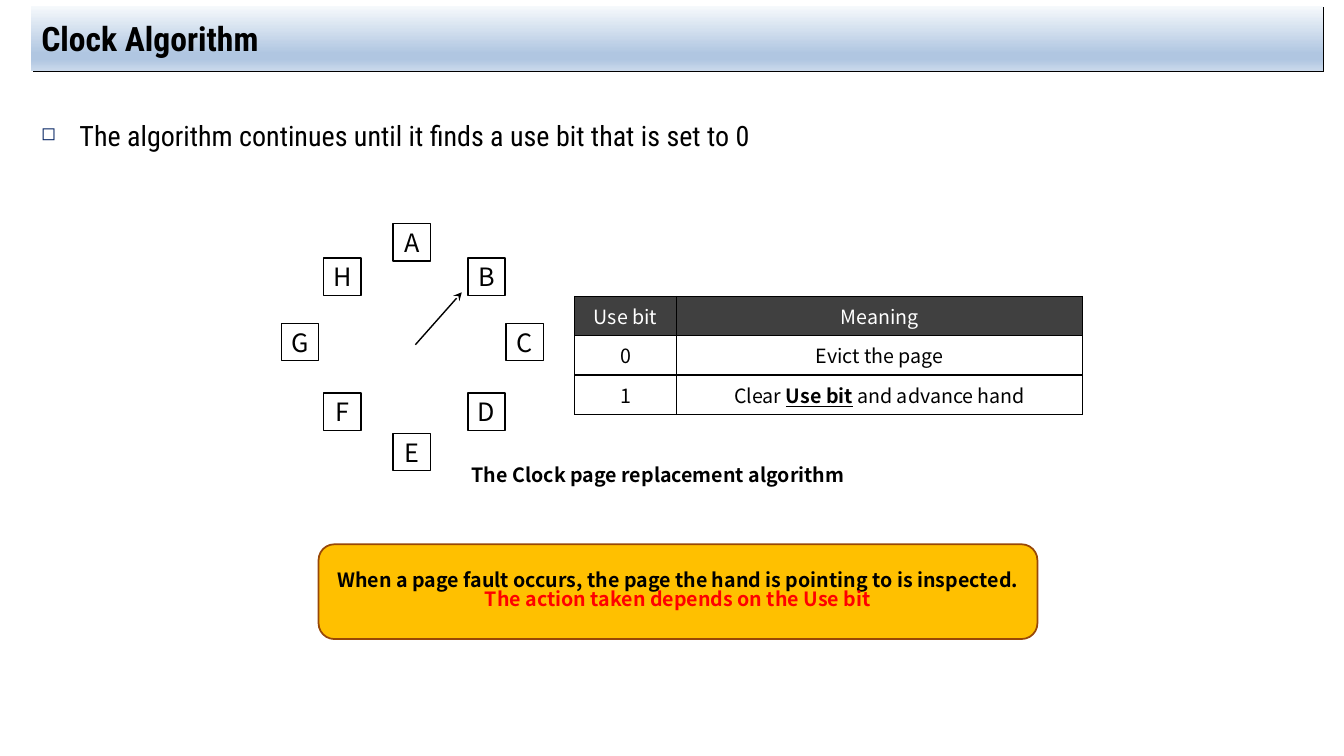
from lxml import etree
from pptx import Presentation
from pptx.dml.color import RGBColor
from pptx.enum.shapes import MSO_CONNECTOR, MSO_SHAPE
from pptx.enum.text import MSO_ANCHOR, PP_ALIGN
from pptx.oxml import parse_xml
from pptx.oxml.ns import nsdecls, qn
from pptx.util import Inches, Pt

BLACK = RGBColor(0x00, 0x00, 0x00)
WHITE = RGBColor(0xFF, 0xFF, 0xFF)
RED = RGBColor(0xFF, 0x00, 0x00)
NAVY = RGBColor(0x00, 0x20, 0x60)
CHARCOAL = RGBColor(0x40, 0x40, 0x40)
AMBER = RGBColor(0xFF, 0xC0, 0x00)
BROWN = RGBColor(0x98, 0x48, 0x07)
BANNER_STOPS = [
    (0, RGBColor(0xF6, 0xF9, 0xFC)),
    (74, RGBColor(0xB0, 0xC6, 0xE1)),
    (83, RGBColor(0xB0, 0xC6, 0xE1)),
    (100, RGBColor(0xCA, 0xD9, 0xEB)),
]
HEADING_FONT = "Roboto Condensed"
BODY_FONT = "Noto Sans CJK KR"

# Page name with its offset from the top left of the clock
CLOCK_PAGES = [
    ("A", 1.11, 0), ("B", 1.85, 0.34), ("C", 2.23, 0.99), ("D", 1.85, 1.68),
    ("E", 1.11, 2.08), ("F", 0.42, 1.68), ("G", 0, 0.99), ("H", 0.42, 0.34),
]
PAGE_SIZE = 0.37
USE_BIT_ROWS = [
    ["Use bit", "Meaning"],
    ["0", "Evict the page"],
    ["1", [("Clear ", {}), ("Use bit", {"bold": True, "underline": True}),
           (" and advance hand", {})]],
]


def write(frame, text, size=14, font=BODY_FONT, color=BLACK, bold=False,
          align=PP_ALIGN.LEFT, anchor=MSO_ANCHOR.TOP, spacing=None):
    """Fill one paragraph from a string or from (text, format) spans."""
    frame.word_wrap = True
    frame.vertical_anchor = anchor
    para = frame.paragraphs[0]
    para.alignment = align
    para.line_spacing = spacing
    spans = [(text, {})] if isinstance(text, str) else text
    for words, style in spans:
        span = para.add_run()
        span.text = words
        span.font.name = font
        span.font.size = Pt(size)
        span.font.bold = style.get("bold", bold)
        span.font.underline = style.get("underline", False)
        span.font.color.rgb = style.get("color", color)
    return para


def add_box(page, kind, left, top, width, height, fill, line=None, weight=1):
    box = page.shapes.add_shape(
        kind, Inches(left), Inches(top), Inches(width), Inches(height))
    box.shadow.inherit = False
    box.fill.solid()
    box.fill.fore_color.rgb = fill
    if line is None:
        box.line.fill.background()
    else:
        box.line.color.rgb = line
        box.line.width = Pt(weight)
    return box


def add_banner(page, left, top, width, height):
    title = page.shapes.title
    title.left, title.top = Inches(left), Inches(top)
    title.width, title.height = Inches(width), Inches(height)
    stops = "".join(
        f'<a:gs pos="{percent * 1000}"><a:srgbClr val="{color}"/></a:gs>'
        for percent, color in BANNER_STOPS)
    for xml in (
        f'<a:prstGeom {nsdecls("a")} prst="rect"><a:avLst/></a:prstGeom>',
        f'<a:gradFill {nsdecls("a")}><a:gsLst>{stops}</a:gsLst>'
        '<a:lin ang="5400000" scaled="0"/></a:gradFill>',
        f'<a:effectLst {nsdecls("a")}><a:outerShdw dist="17780" dir="2700000">'
        f'<a:srgbClr val="{BLACK}"/></a:outerShdw></a:effectLst>',
    ):
        title.element.spPr.append(parse_xml(xml))
    write(title.text_frame, "Clock Algorithm", size=24, font=HEADING_FONT,
          bold=True, anchor=MSO_ANCHOR.MIDDLE)


def add_bullet_text(page, left, top, width, height):
    box = page.shapes.add_textbox(
        Inches(left), Inches(top), Inches(width), Inches(height))
    para = write(
        box.text_frame,
        "The algorithm continues until it finds a use bit that is set to 0",
        size=20, font=HEADING_FONT, spacing=1.5)
    para.space_before = Pt(4)
    props = para._p.get_or_add_pPr()
    props.set("marL", str(Inches(0.38)))
    props.set("indent", str(Inches(-0.38)))
    color = etree.SubElement(props, qn("a:buClr"))
    etree.SubElement(color, qn("a:srgbClr"), val=str(NAVY))
    etree.SubElement(props, qn("a:buSzPct"), val="65000")
    etree.SubElement(props, qn("a:buChar"), char="◻")


def add_clock(page, left, top):
    for name, across, down in CLOCK_PAGES:
        box = add_box(page, MSO_SHAPE.RECTANGLE, left + across, top + down,
                      PAGE_SIZE, PAGE_SIZE, WHITE, BLACK)
        frame = box.text_frame
        frame.margin_left = frame.margin_right = 0
        frame.margin_top = frame.margin_bottom = 0
        write(frame, name, size=18, align=PP_ALIGN.CENTER,
              anchor=MSO_ANCHOR.MIDDLE)
    hand = page.shapes.add_connector(
        MSO_CONNECTOR.STRAIGHT, Inches(left + 1.33), Inches(top + 1.2),
        Inches(left + 1.79), Inches(top + 0.68))
    hand.line.color.rgb = BLACK
    hand.line.width = Pt(1)
    etree.SubElement(hand.line._get_or_add_ln(), qn("a:tailEnd"), type="stealth")
    etree.SubElement(hand.element.spPr, qn("a:effectLst"))


def fill_cell(cell, text, fill, color):
    props = cell._tc.get_or_add_tcPr()
    for side in ("lnL", "lnR", "lnT", "lnB"):
        border = etree.SubElement(props, qn(f"a:{side}"), w=str(Pt(1)))
        paint = etree.SubElement(border, qn("a:solidFill"))
        etree.SubElement(paint, qn("a:srgbClr"), val=str(BLACK))
    cell.fill.solid()
    cell.fill.fore_color.rgb = fill
    write(cell.text_frame, text, color=color, align=PP_ALIGN.CENTER)
    cell.vertical_anchor = MSO_ANCHOR.MIDDLE


def add_use_bit_table(page, left, top, widths, row_height):
    table = page.shapes.add_table(
        len(USE_BIT_ROWS), len(widths), Inches(left), Inches(top),
        Inches(sum(widths)), Inches(row_height * len(USE_BIT_ROWS))).table
    for column, width in zip(table.columns, widths):
        column.width = Inches(width)
    for index, texts in enumerate(USE_BIT_ROWS):
        table.rows[index].height = Inches(row_height)
        fill, color = (WHITE, BLACK) if index else (CHARCOAL, WHITE)
        for cell, text in zip(table.rows[index].cells, texts):
            fill_cell(cell, text, fill, color)


def add_caption(page, left, top, width, height):
    box = add_box(page, MSO_SHAPE.RECTANGLE, left, top, width, height, WHITE)
    write(box.text_frame, "The Clock page replacement algorithm", bold=True)


def add_callout(page, left, top, width, height):
    box = add_box(page, MSO_SHAPE.ROUNDED_RECTANGLE, left, top, width, height,
                  AMBER, BROWN, 1.25)
    box.text_frame.margin_left = box.text_frame.margin_right = Inches(0.12)
    write(box.text_frame, [
        ("When a page fault occurs, the page the hand is pointing to is inspected. ", {}),
        ("The action taken depends on the Use bit", {"color": RED}),
    ], bold=True, align=PP_ALIGN.CENTER, anchor=MSO_ANCHOR.MIDDLE, spacing=0.8)


def main():
    deck = Presentation()
    deck.slide_width, deck.slide_height = Inches(13.33), Inches(7.5)
    page = deck.slides.add_slide(deck.slide_layouts.get_by_name("Title Only"))
    add_banner(page, 0.31, 0.06, 12.81, 0.64)
    add_bullet_text(page, 0.31, 0.96, 12.81, 6.02)
    add_clock(page, 2.79, 2.22)
    add_callout(page, 3.16, 5.4, 7.13, 0.94)
    add_use_bit_table(page, 5.7, 2.94, [1.01, 4.03], 0.39)
    add_caption(page, 4.58, 4.54, 4.02, 0.34)
    deck.save("out.pptx")


if __name__ == "__main__":
    main()
